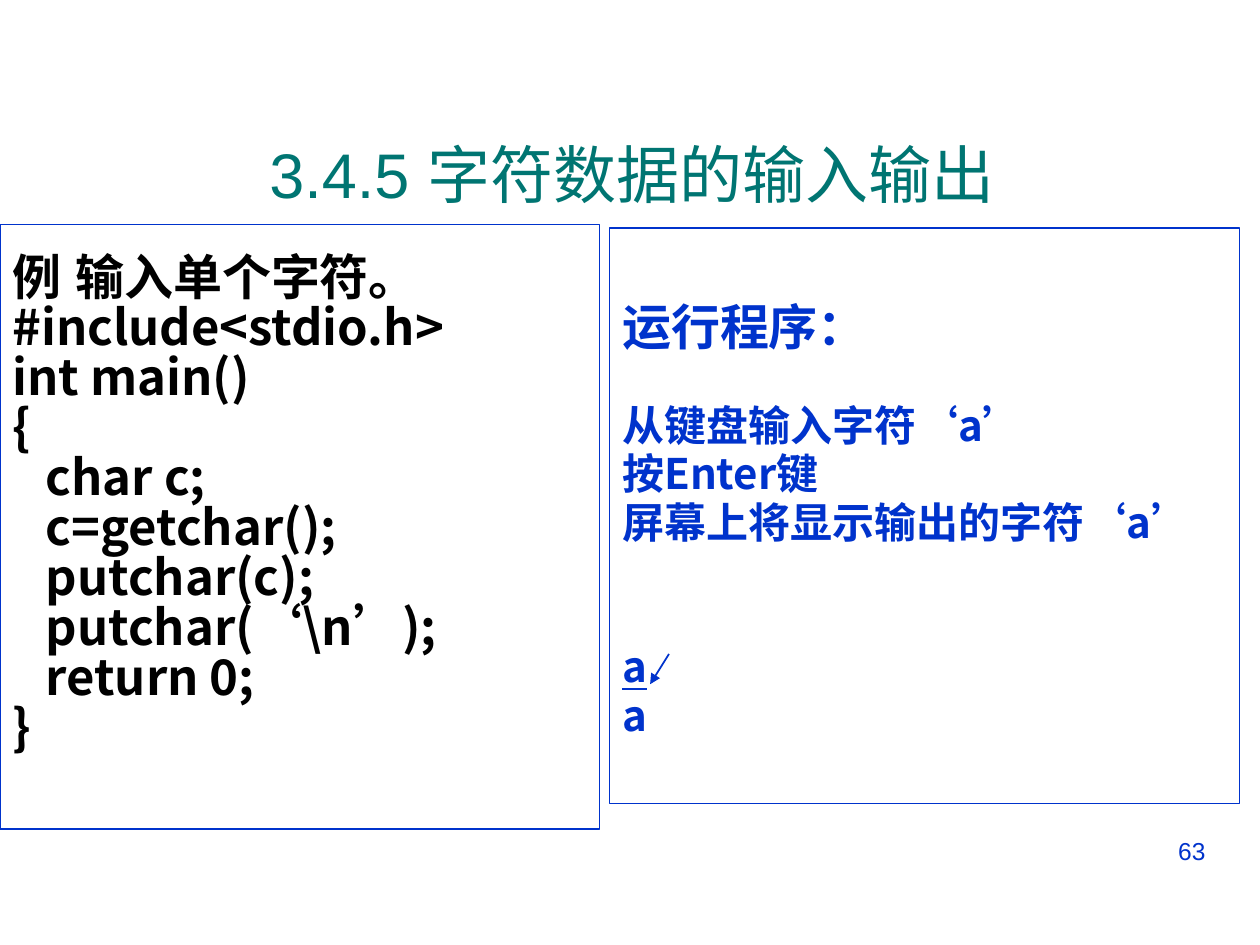
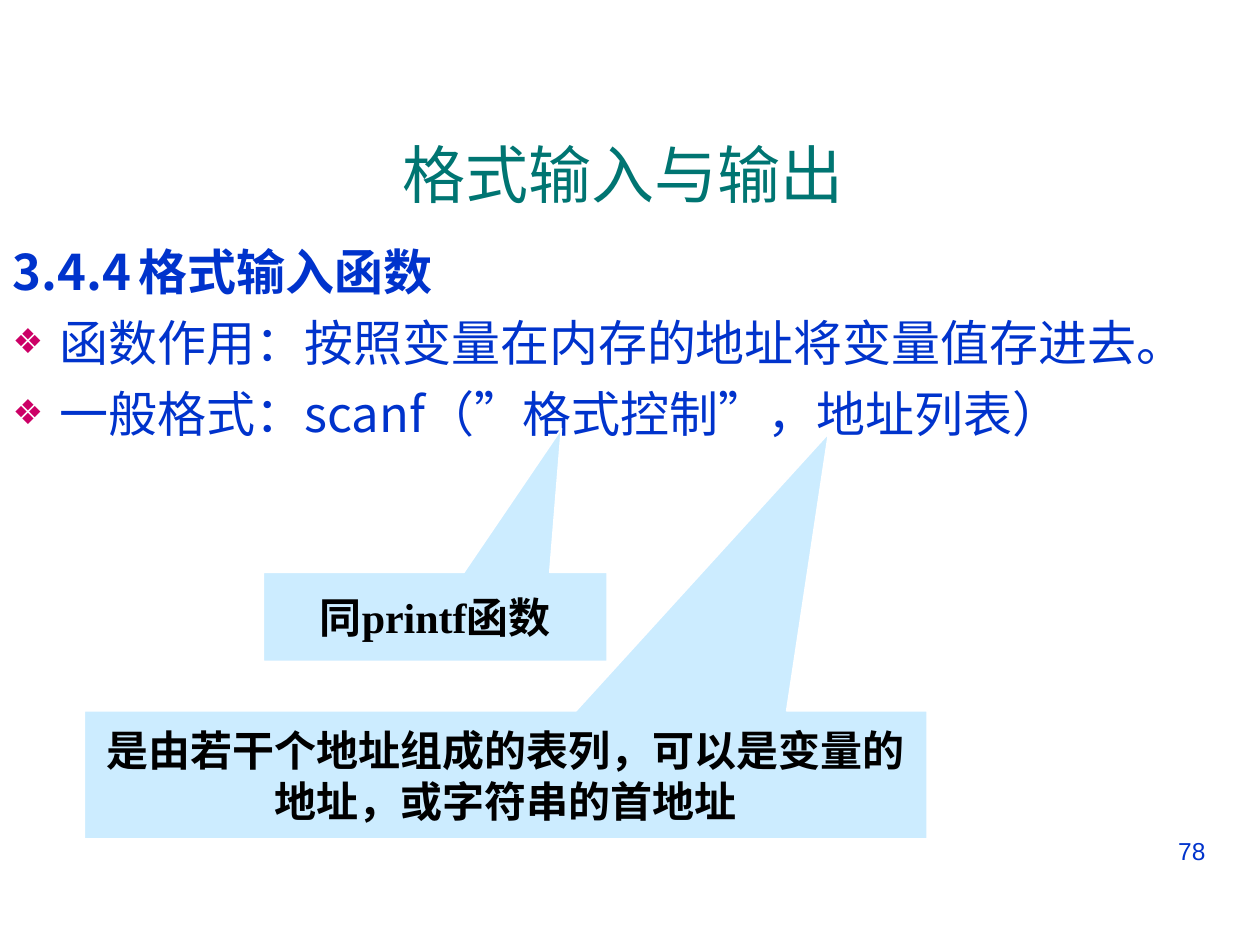
from dataclasses import dataclass

from lxml.etree import SubElement
from pptx import Presentation
from pptx.dml.color import RGBColor
from pptx.enum.shapes import MSO_CONNECTOR as Connector, MSO_SHAPE as Shape
from pptx.enum.text import MSO_ANCHOR as Anchor, MSO_AUTO_SIZE as AutoSize, PP_ALIGN as Align
from pptx.oxml.ns import qn
from pptx.util import Pt


@dataclass(frozen=True)
class Theme:
    blue: str = "0033CC"
    teal: str = "007572"
    pink: str = "CC0066"
    pale_blue: str = "CCECFF"
    white: str = "FFFFFF"
    black: str = "000000"
    sans: str = "Arial"
    serif: str = "Times New Roman"
    chinese: str = "Noto Sans CJK SC"
    title_size: float = 36
    large_size: float = 28
    medium_size: float = 24
    number_size: float = 14


THEME = Theme()
SIDE_INSET = 7.2
TOP_INSET = 3.6

CODE = """#include<stdio.h>
int main()
{
   char c;
   c=getchar();
   putchar(c);
   putchar(‘\\n’);
   return 0;
}""".split("\n")


def color(value):
    return RGBColor.from_string(value)


def points(*lengths):
    return [Pt(length) for length in lengths]


def place(shape, box):
    shape.left, shape.top, shape.width, shape.height = points(*box)


def prepare_frame(shape, anchor=Anchor.TOP, top_inset=TOP_INSET):
    frame = shape.text_frame
    frame.word_wrap = True
    frame.auto_size = AutoSize.NONE
    frame.vertical_anchor = anchor
    frame.margin_left = frame.margin_right = Pt(SIDE_INSET)
    frame.margin_top, frame.margin_bottom = points(top_inset, TOP_INSET)
    return frame


def add_bullet(paragraph):
    properties = paragraph._p.get_or_add_pPr()
    bullet_color = SubElement(properties, qn("a:buClr"))
    SubElement(bullet_color, qn("a:srgbClr"), val=THEME.pink)
    SubElement(properties, qn("a:buSzPct"), val="70000")
    SubElement(properties, qn("a:buChar"), char="❖")


def write(frame, text, *, size, font=THEME.chinese, ink=THEME.blue, bold=False,
          underline=False, align=Align.LEFT, spacing=None, before=0,
          bullet=False, hanging=0, tab=None):
    """Add one paragraph, filling the frame's first one while it is empty."""
    paragraph = frame.paragraphs[0]
    if paragraph.runs:
        paragraph = frame.add_paragraph()
    paragraph.alignment = align
    paragraph.space_before = Pt(before)
    if spacing:
        paragraph.line_spacing = Pt(spacing)
    properties = paragraph._p.get_or_add_pPr()
    properties.set("marL", str(Pt(hanging)))
    properties.set("indent", str(-Pt(hanging)))
    if bullet:
        add_bullet(paragraph)
    else:
        SubElement(properties, qn("a:buNone"))
    if tab:
        tabs = SubElement(properties, qn("a:tabLst"))
        SubElement(tabs, qn("a:tab"), pos=str(Pt(tab)), algn="l")
    run = paragraph.add_run()
    run.text = text
    run.font.name = font
    run.font.size = Pt(size)
    run.font.bold = bold
    run.font.underline = underline
    run.font.color.rgb = color(ink)
    SubElement(run._r.get_or_add_rPr(), qn("a:ea"), typeface=THEME.chinese)


def add_slide(presentation, layout, title, number):
    slide = presentation.slides.add_slide(presentation.slide_layouts[layout])
    place(slide.shapes.title, (24, 54, 672, 90))
    write(prepare_frame(slide.shapes.title, Anchor.MIDDLE), title, font=THEME.sans,
          size=THEME.title_size, ink=THEME.teal, align=Align.CENTER)
    number_box = slide.shapes.add_textbox(*points(516, 474, 180, 37.5))
    write(prepare_frame(number_box), number, font=THEME.sans,
          size=THEME.number_size, align=Align.RIGHT)
    return slide


def add_filled(slide, kind, box, fill, line, line_width):
    shape = slide.shapes.add_shape(kind, *points(*box))
    shape.shadow.inherit = False
    shape.fill.solid()
    shape.fill.fore_color.rgb = color(fill)
    shape.line.color.rgb = color(line)
    shape.line.width = Pt(line_width)
    return shape


def add_panel(slide, box, top_inset):
    panel = add_filled(slide, Shape.RECTANGLE, box, THEME.white, THEME.blue, 0.75)
    return prepare_frame(panel, top_inset=top_inset)


def add_callout(slide, box, tip, text):
    """Add a callout whose tip is given as shares of its size from its centre."""
    callout = add_filled(slide, Shape.RECTANGULAR_CALLOUT, box,
                         THEME.pale_blue, THEME.white, 1)
    callout.adjustments[0], callout.adjustments[1] = tip
    write(prepare_frame(callout, Anchor.MIDDLE), text, font=THEME.serif,
          size=THEME.medium_size, ink=THEME.black, bold=True,
          align=Align.CENTER, spacing=29)


def add_arrow(slide, start, end):
    arrow = slide.shapes.add_connector(Connector.STRAIGHT, *points(*start, *end))
    arrow.line.color.rgb = color(THEME.blue)
    arrow.line.width = Pt(1)
    SubElement(arrow.line._get_or_add_ln(), qn("a:tailEnd"), type="triangle")
    SubElement(arrow._element.spPr, qn("a:effectLst"))


def build_character_slide(presentation):
    slide = add_slide(presentation, 5, " 3.4.5 字符数据的输入输出 ", "63")

    program = add_panel(slide, (0, 128.2, 342.7, 345.6), top_inset=17.5)
    code_format = dict(size=THEME.large_size, ink=THEME.black, bold=True, spacing=28.6)
    write(program, "例\t输入单个字符。", tab=47, **code_format)
    for line in CODE:
        write(program, line, **code_format)

    result = add_panel(slide, (348.5, 130.3, 360, 329), top_inset=40.5)
    write(result, "运行程序：", size=THEME.large_size, bold=True, spacing=32)
    for text, before, underline in (
        ("从键盘输入字符‘a’", 26.5, False),
        ("按Enter键", 0, False),
        ("屏幕上将显示输出的字符‘a’", 0, False),
        ("a", 55, True),
        ("a", 0, False),
    ):
        write(result, text, size=THEME.medium_size, bold=True, spacing=27.7,
              before=before, underline=underline)
    add_arrow(slide, (382.3, 373.7), (371.5, 391))


def build_format_slide(presentation):
    slide = add_slide(presentation, 1, "格式输入与输出 ", "78")

    body = slide.placeholders[1]
    place(body, (0, 131.8, 720, 353.5))
    frame = prepare_frame(body, top_inset=6)
    write(frame, "3.4.4\t格式输入函数", size=THEME.large_size, bold=True,
          spacing=33.6, tab=87.6)
    for text in ("函数作用：按照变量在内存的地址将变量值存进去。",
                 "一般格式：scanf（”格式控制”，地址列表）"):
        write(frame, text, size=THEME.large_size, spacing=33.6, before=7,
              bullet=True, hanging=27)

    add_callout(slide, (150.5, 327, 196.5, 51), (0.367, -2.11), "同printf函数")
    add_callout(slide, (48.2, 406.1, 481.7, 73.4), (0.383, -2.661),
                "是由若干个地址组成的表列，可以是变量的地址，或字符串的首地址")


def main():
    presentation = Presentation()
    presentation.slide_width, presentation.slide_height = points(720, 540)
    build_character_slide(presentation)
    build_format_slide(presentation)
    presentation.save("out.pptx")


if __name__ == "__main__":
    main()
